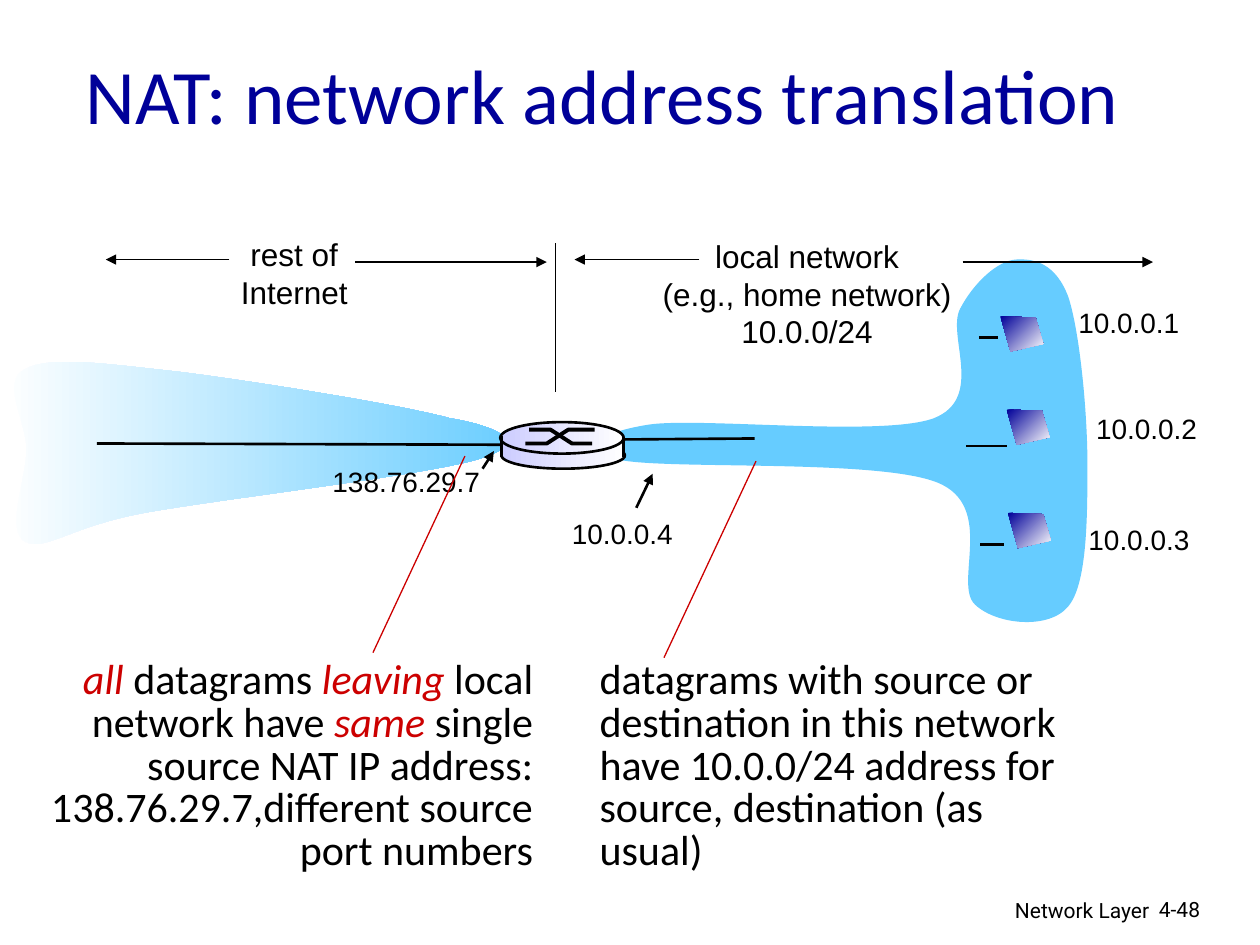
from dataclasses import dataclass

from lxml.etree import SubElement
from pptx import Presentation
from pptx.dml.color import RGBColor
from pptx.enum.shapes import MSO_CONNECTOR, MSO_SHAPE
from pptx.enum.text import MSO_ANCHOR, MSO_AUTO_SIZE, PP_ALIGN
from pptx.oxml.ns import qn
from pptx.util import Inches, Pt


@dataclass(frozen=True)
class Theme:
    """Colours, fonts and type sizes of the slide."""
    navy: str = "000099"
    sky: str = "66CCFF"
    lilac: str = "CCCCFF"
    white: str = "FFFFFF"
    black: str = "000000"
    red: str = "CC0000"
    heading_font: str = "Calibri"
    label_font: str = "Arial"
    footer_font: str = "Roboto"
    title_size: int = 44
    note_size: int = 24
    region_size: int = 18
    address_size: int = 16
    footer_size: int = 12
    thin: float = 0.75
    medium: float = 1.5
    thick: float = 2.25


THEME = Theme()
LOCAL_NETWORK = [
    (5.15, 3.37), (5.56, 3.31), (7, 3.47), (7.41, 3.32), (7.82, 3.16), (7.51, 2.66),
    (7.62, 2.45), (7.73, 2.24), (7.92, 2.07), (8.06, 2.06), (8.21, 2.05), (8.38, 2.09),
    (8.48, 2.36), (8.57, 2.64), (8.63, 3.27), (8.63, 3.68), (8.63, 4.09), (8.63, 4.63),
    (8.48, 4.81), (8.33, 5), (7.91, 4.96), (7.74, 4.8), (7.56, 4.64), (7.91, 4.02),
    (7.44, 3.83), (6.97, 3.64), (5.31, 3.73), (4.92, 3.65), (4.54, 3.57), (4.76, 3.43),
    (5.15, 3.37)]
INTERNET = [
    (3.57, 3.32), (3.17, 3.21), (1.97, 3.02), (1.41, 2.95), (0.85, 2.89), (0.4, 2.82),
    (0.2, 2.93), (0, 3.03), (0.21, 3.34), (0.21, 3.57), (0.21, 3.8), (0.04, 4.21),
    (0.2, 4.3), (0.36, 4.38), (0.55, 4.18), (1.15, 4.07), (1.75, 3.96), (3.4, 3.77),
    (3.81, 3.64), (4.21, 3.52), (3.98, 3.39), (3.57, 3.32)]
LINKS = [((4.67, 3.49), (5.99, 3.48)), ((7.99, 3.54), (7.67, 3.54)),
         ((7.77, 2.68), (7.92, 2.68)), ((7.78, 4.32), (7.97, 4.32)),
         ((0.77, 3.52), (4.08, 3.53))]
POINTERS = [((5.05, 4.03), (5.18, 3.76)), ((3.83, 3.72), (3.92, 3.58))]
SPANS = [((7.64, 2.08), (9.15, 2.08)), ((5.55, 2.06), (4.56, 2.06)),
         ((2.82, 2.08), (4.34, 2.08)), ((1.82, 2.06), (0.84, 2.06))]
CALLOUTS = [((5.27, 5.22), (6, 3.66)), ((2.96, 5.18), (3.69, 3.62))]
ADDRESSES = [("10.0.0.1", 8.46, 2.38, 1.01), ("10.0.0.2", 8.6, 3.22, 1.01),
             ("10.0.0.3", 8.54, 4.1, 1.01), ("10.0.0.4", 4.44, 4.05, 1.01),
             ("138.76.29.7", 2.54, 3.64, 1.38)]
REGIONS = [("local network\n(e.g., home network)\n10.0.0/24", 5.16, 1.83, 2.49, 1),
           ("rest of\nInternet", 1.81, 1.82, 1.05, 0.7)]
COMPUTERS = [(7.94, 2.51), (7.99, 3.25), (8, 4.07)]
COMPUTER_OUTLINE = [(0, 0), (0.28, 0.01), (0.34, 0.22), (0.08, 0.28)]
LOCAL_NOTE = ("datagrams with source or\ndestination in this network\n"
              "have 10.0.0/24 address for\nsource, destination (as usual)")
LEAVING_NOTE = [
    [("all ", True), ("datagrams ", False), ("leaving", True), (" local", False)],
    [("network have ", False), ("same", True),
     (" single source NAT IP address: 138.76.29.7,different source port numbers", False)]]


def rgb(value):
    """Return a colour object for a hex string."""
    return RGBColor.from_string(value)


def style_font(font, name, size, color):
    """Set typeface, size and colour."""
    font.name, font.size = name, Pt(size)
    font.color.rgb = rgb(color)


def add_text(slide, text, box, name, size, align=PP_ALIGN.LEFT, wrap=False, spacing=None):
    """Add a text box with one style and return its text frame."""
    text_frame = slide.shapes.add_textbox(*map(Inches, box)).text_frame
    text_frame.word_wrap = wrap
    text_frame.text = text
    for paragraph in text_frame.paragraphs:
        paragraph.alignment = align
        paragraph.line_spacing = spacing
        for run in paragraph.runs:
            style_font(run.font, name, size, THEME.black)
    return text_frame


def add_line(shapes, start, end, width, color=THEME.black, arrow=False):
    """Add a straight line, with an arrowhead at its end if asked."""
    line = shapes.add_connector(MSO_CONNECTOR.STRAIGHT, *map(Inches, (*start, *end)))
    line.line.width = Pt(width)
    line.line.color.rgb = rgb(color)
    if arrow:
        SubElement(line.line._get_or_add_ln(), qn("a:tailEnd"), type="triangle")
    SubElement(line._element.spPr, qn("a:effectLst"))


def paint(shape, colors=(), angle=0, outline=None):
    """Fill with no, one or two colours and set the outline width."""
    shape.shadow.inherit = False
    if len(colors) == 2:
        shape.fill.gradient()
        shape.fill.gradient_angle = angle
        for stop, color in zip(shape.fill.gradient_stops, colors):
            stop.color.rgb = rgb(color)
    elif colors:
        shape.fill.solid()
        shape.fill.fore_color.rgb = rgb(colors[0])
    else:
        shape.fill.background()
    if outline:
        shape.line.width = Pt(outline)
        shape.line.color.rgb = rgb(THEME.black)
    else:
        shape.line.fill.background()


def add_outline(shapes, points, close=True):
    """Add a freeform through points given in inches."""
    start, *rest = [(Inches(x), Inches(y)) for x, y in points]
    builder = shapes.build_freeform(*start)
    builder.add_line_segments(rest, close=close)
    return builder.convert_to_shape()


def add_curved_outline(shapes, points):
    """Add a closed freeform whose points form a chain of cubic Bezier curves."""
    shape = add_outline(shapes, points)
    outline = next(shape._element.iter(qn("a:path")))
    segments = outline.findall(qn("a:lnTo"))
    for first in range(0, len(segments), 3):
        curve = SubElement(outline, qn("a:cubicBezTo"))
        segments[first].addprevious(curve)
        for segment in segments[first:first + 3]:
            curve.append(segment[0])
            outline.remove(segment)
    return shape


def add_router(slide):
    """Add the router as one group."""
    shapes = slide.shapes.add_group_shape().shapes
    body = [(MSO_SHAPE.OVAL, (3.98, 3.51, 0.98, 0.21), THEME.medium),
            (MSO_SHAPE.RECTANGLE, (3.98, 3.49, 0.98, 0.13), None),
            (MSO_SHAPE.OVAL, (3.97, 3.35, 0.98, 0.25), THEME.medium)]
    for kind, box, outline in body:
        shape = shapes.add_shape(kind, *map(Inches, box))
        paint(shape, (THEME.lilac, THEME.white), outline=outline)
    for xs, ys in [((4.17, 4.34, 4.51, 4.72), (3.52, 3.52, 3.41, 3.41)),
                   ((4.2, 4.37, 4.54, 4.7), (3.41, 3.41, 3.52, 3.52))]:
        paint(add_outline(shapes, zip(xs, ys), close=False), outline=THEME.thick)
    for x, top in ((3.98, 3.46), (4.95, 3.47)):
        add_line(shapes, (x, top), (x, 3.63), THEME.medium)


def add_title(slide, text):
    """Fill and place the title placeholder."""
    title = slide.shapes.title
    title.left, title.top, title.width, title.height = map(Inches, (0.58, 0.25, 8.85, 0.99))
    text_frame = title.text_frame
    text_frame.text = text
    text_frame.auto_size = MSO_AUTO_SIZE.NONE
    text_frame.vertical_anchor = MSO_ANCHOR.MIDDLE
    paragraph = text_frame.paragraphs[0]
    paragraph.alignment = PP_ALIGN.LEFT
    style_font(paragraph.runs[0].font, THEME.heading_font, THEME.title_size, THEME.navy)


def add_leaving_note(slide):
    """Add the right-aligned note with red italic emphasis."""
    text_frame = add_text(slide, "\n", (0.3, 5.19, 4.03, 1.8), THEME.heading_font,
                          THEME.note_size, PP_ALIGN.RIGHT, True, 0.85)
    for paragraph, pieces in zip(text_frame.paragraphs, LEAVING_NOTE):
        for text, emphasis in pieces:
            run = paragraph.add_run()
            run.text = text
            style_font(run.font, THEME.heading_font, THEME.note_size,
                       THEME.red if emphasis else THEME.black)
            run.font.italic = emphasis


def main():
    """Build the slide and save it."""
    presentation = Presentation()
    presentation.slide_width, presentation.slide_height = Inches(10), Inches(7.5)
    slide = presentation.slides.add_slide(presentation.slide_layouts[5])
    shapes = slide.shapes
    add_title(slide, "NAT: network address translation")
    add_text(slide, "Network Layer", (6.05, 7.07, 3.17, 0.31), THEME.footer_font,
             THEME.footer_size, PP_ALIGN.RIGHT, True)
    add_text(slide, "4-48", (9.1, 7.07, 0.74, 0.3), THEME.footer_font,
             THEME.footer_size, wrap=True)
    paint(add_curved_outline(shapes, LOCAL_NETWORK), (THEME.sky,))
    paint(add_curved_outline(shapes, INTERNET), (THEME.white, THEME.sky))
    for start, end in LINKS:
        add_line(shapes, start, end, THEME.medium)
    for start, end in POINTERS:
        add_line(shapes, start, end, THEME.medium, arrow=True)
    for start, end in SPANS:
        add_line(shapes, start, end, THEME.thin, arrow=True)
    add_line(shapes, (4.41, 1.93), (4.41, 3.11), THEME.thin)
    for text, left, top, width in ADDRESSES:
        add_text(slide, text, (left, top, width, 0.37), THEME.label_font, THEME.address_size)
    for text, *box in REGIONS:
        add_text(slide, text, box, THEME.label_font, THEME.region_size, PP_ALIGN.CENTER)
    add_text(slide, LOCAL_NOTE, (4.66, 5.19, 4.12, 1.46), THEME.heading_font,
             THEME.note_size, wrap=True, spacing=0.85)
    add_leaving_note(slide)
    for start, end in CALLOUTS:
        add_line(shapes, start, end, THEME.thin, THEME.red)
    add_router(slide)
    for left, top in COMPUTERS:
        points = [(left + x, top + y) for x, y in COMPUTER_OUTLINE]
        paint(add_outline(shapes, points), (THEME.navy, THEME.white), angle=315)
    presentation.save("out.pptx")


if __name__ == "__main__":
    main()
